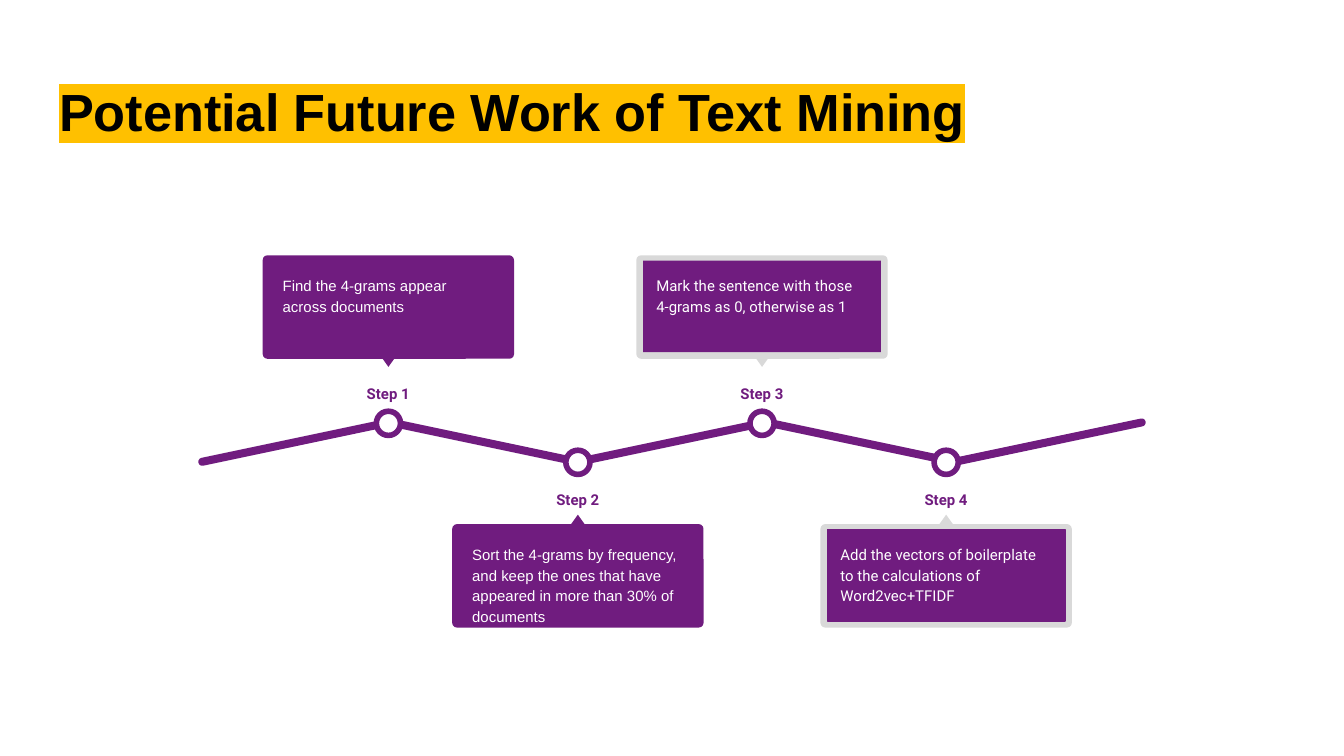
from lxml import etree
from pptx import Presentation
from pptx.dml.color import RGBColor
from pptx.enum.shapes import MSO_SHAPE
from pptx.enum.text import MSO_ANCHOR, MSO_AUTO_SIZE, PP_ALIGN
from pptx.oxml.ns import qn
from pptx.util import Inches, Pt

ROUNDED, RECTANGLE = MSO_SHAPE.ROUNDED_RECTANGLE, MSO_SHAPE.RECTANGLE
TRIANGLE, OVAL = MSO_SHAPE.ISOSCELES_TRIANGLE, MSO_SHAPE.OVAL
LEFT, CENTER = PP_ALIGN.LEFT, PP_ALIGN.CENTER
TOP, NO_FIT = MSO_ANCHOR.TOP, MSO_AUTO_SIZE.NONE

PURPLE, GRAY, WHITE, BLACK, AMBER = "701C7F", "D9D9D9", "FFFFFF", "000000", "FFC000"

CARD_WIDTH, CARD_HEIGHT = 1.87, 0.77
TEXT_WIDTH, TEXT_HEIGHT = 1.77, 0.68
# Tops of the parts of a step whose card is above or below the path
ABOVE = {"card": 1.9, "pointer": 2.66, "label": 2.74, "node": 3.06, "turn": 180}
BELOW = {"card": 3.9, "pointer": 3.83, "label": 3.53, "node": 3.35, "turn": 0}

# Name, centre, text, font, card colour, line width of the text panel (None: no panel)
STEPS = [
    ("Step 1", 2.89, "Find the 4-grams appear across documents", "Arial", PURPLE, None),
    ("Step 2", 4.3, "Sort the 4-grams by frequency, and keep the ones that have "
     "appeared in more than 30% of documents", "Arial", PURPLE, None),
    ("Step 3", 5.67, "Mark the sentence with those 4-grams as 0, otherwise as 1",
     "Roboto", GRAY, 0),
    ("Step 4", 7.04, "Add the vectors of boilerplate to the calculations of "
     "Word2vec+TFIDF", "Roboto", GRAY, 0.75),
]


def rgb(color):
    return RGBColor.from_string(color)


def inches(box):
    return [Inches(length) for length in box]


def write_text(shape, text, font="Roboto", size=8, color=WHITE, bold=False,
               align=LEFT, spacing=1.15, after=16, highlight=None):
    frame = shape.text_frame
    frame.word_wrap = True
    frame.auto_size = NO_FIT
    frame.vertical_anchor = TOP
    frame.margin_left = frame.margin_right = Inches(0.1)
    frame.margin_top = frame.margin_bottom = Inches(0.1)
    para = frame.paragraphs[0]
    para.alignment = align
    para.line_spacing = spacing
    para.space_after = Pt(after)
    span = para.add_run()
    span.text = text
    span.font.name = font
    span.font.size = Pt(size)
    span.font.bold = bold
    span.font.color.rgb = rgb(color)
    if highlight:
        mark = etree.Element(qn("a:highlight"))
        etree.SubElement(mark, qn("a:srgbClr"), val=highlight)
        span.font._element.find(qn("a:solidFill")).addnext(mark)


def add_block(shapes, kind, box, fill, line_width=0, turn=0, corner=None):
    """Draw a filled shape, with a purple outline if it has a line width."""
    block = shapes.add_shape(kind, *inches(box))
    block.shadow.inherit = False
    block.fill.solid()
    block.fill.fore_color.rgb = rgb(fill)
    if line_width:
        block.line.color.rgb = rgb(PURPLE)
        block.line.width = Pt(line_width)
    else:
        block.line.fill.background()
    block.rotation = turn
    if corner is not None:
        block.adjustments[0] = corner
    return block


def add_title(page, box, text):
    title = page.shapes.title
    title.left, title.top, title.width, title.height = inches(box)
    write_text(title, text, font="Arial", size=28, color=BLACK, bold=True,
               spacing=1, after=0, highlight=AMBER)


def add_path(page, left, top, pitch, count):
    """Draw a zigzag of bars that rise and fall in turn."""
    for index in range(count):
        box = (left + index * pitch, top, 1.48, 0.06)
        turn = 11.9 if index % 2 else -11.9
        add_block(page.shapes, ROUNDED, box, PURPLE, turn=turn, corner=0.5)


def add_step(page, tops, name, center, text, font, card_color, panel_line):
    """Draw a node on the path with its label, pointer and card."""
    shapes = page.shapes.add_group_shape().shapes
    card_left = center - CARD_WIDTH / 2
    add_block(shapes, OVAL, (center - 0.09, tops["node"], 0.18, 0.18), WHITE, line_width=3)
    label = shapes.add_textbox(*inches((center - 0.38, tops["label"], 0.76, 0.3)))
    write_text(label, name, color=PURPLE, bold=True, align=CENTER)
    add_block(shapes, ROUNDED, (card_left, tops["card"], CARD_WIDTH, CARD_HEIGHT),
              card_color, corner=0.045)
    add_block(shapes, TRIANGLE, (center - 0.05, tops["pointer"], 0.1, 0.07),
              card_color, turn=tops["turn"])
    text_box = (center - TEXT_WIDTH / 2, tops["card"] + 0.04, TEXT_WIDTH, TEXT_HEIGHT)
    if panel_line is None:
        panel = shapes.add_textbox(*inches(text_box))
    else:
        panel = add_block(shapes, RECTANGLE, text_box, PURPLE, line_width=panel_line)
    write_text(panel, text, font=font)


def main():
    deck = Presentation()
    deck.slide_width = Inches(10)
    deck.slide_height = deck.slide_width * 9 // 16
    page = deck.slides.add_slide(deck.slide_layouts[5])
    add_title(page, (0.34, 0.49, 9.32, 0.63), "Potential Future Work of Text Mining")
    add_path(page, left=1.46, top=3.26, pitch=1.4, count=5)
    for index, step in enumerate(STEPS):
        add_step(page, BELOW if index % 2 else ABOVE, *step)
    deck.save("out.pptx")


if __name__ == "__main__":
    main()
